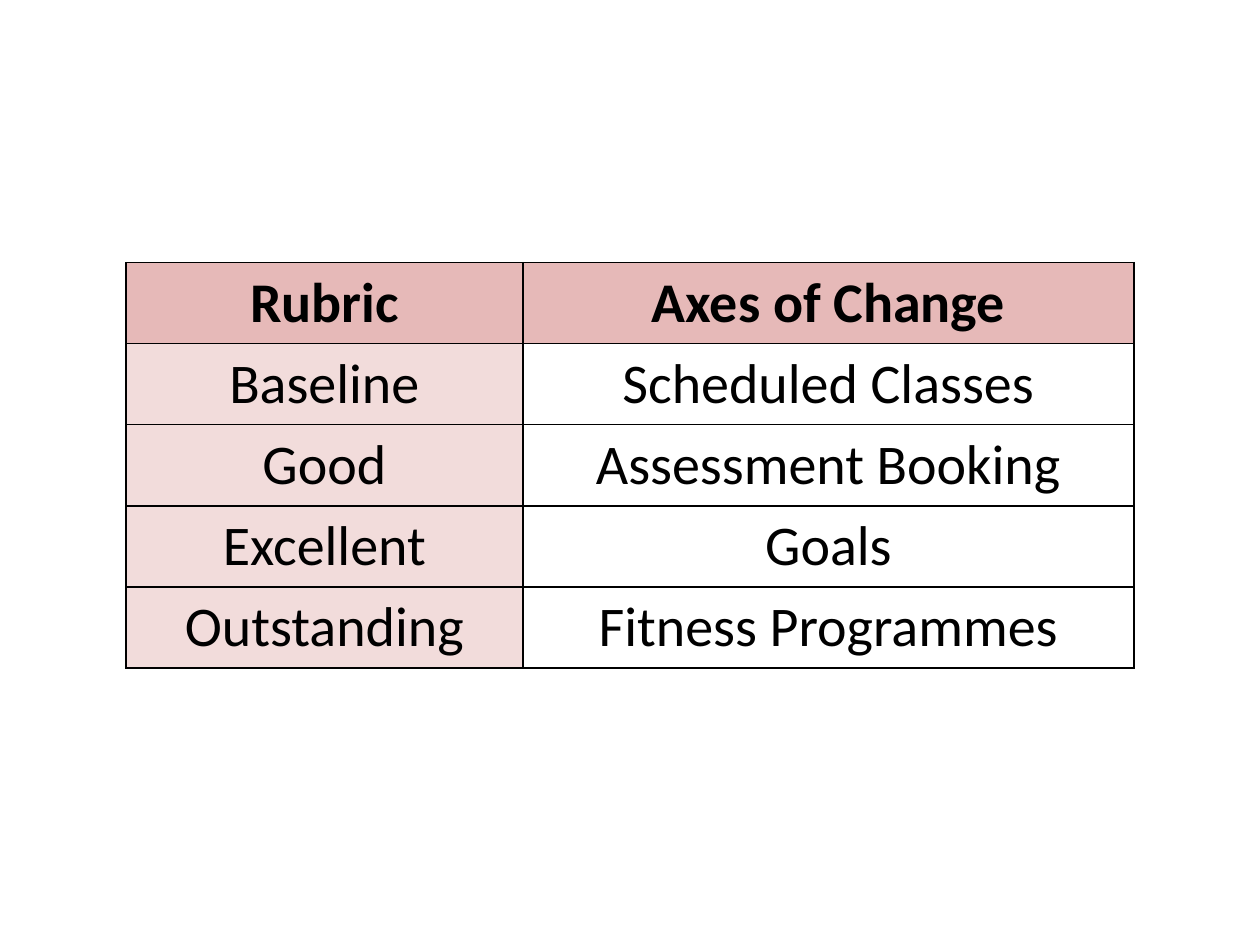
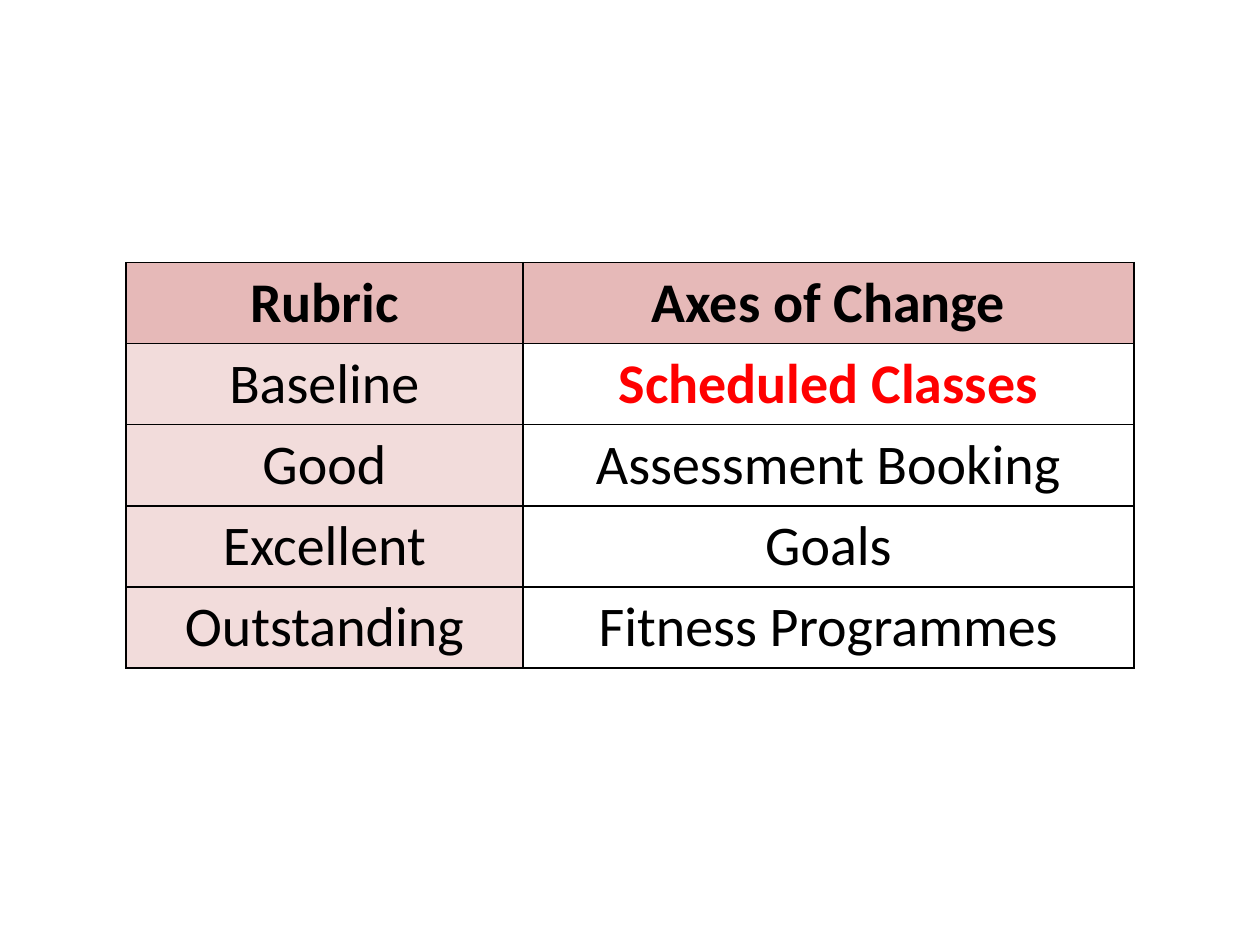
from lxml.etree import SubElement
from pptx import Presentation
from pptx.dml.color import RGBColor
from pptx.enum.text import PP_ALIGN
from pptx.oxml.ns import qn
from pptx.util import Pt

RUBRIC = [
    ("Rubric", "Axes of Change"),
    ("Baseline", "Scheduled Classes"),
    ("Good", "Assessment Booking"),
    ("Excellent", "Goals"),
    ("Outstanding", "Fitness Programmes"),
]


def colour(value):
    """Turn a hex string into a colour."""
    return RGBColor.from_string(value)


class RubricDeck:
    """Holds the shared style and the current slide."""

    font, size = "Calibri", 32
    ink, accent = "000000", "FF0000"
    header_fill, label_fill = "E6B9B8", "F2DCDB"
    border_width = 1
    left, top = 72, 150
    column_widths = (226.8, 349.2)
    row_height = 45.6

    def __init__(self):
        """Start an empty deck of 10 by 7.5 inches."""
        self.deck = Presentation()
        self.deck.slide_width, self.deck.slide_height = Pt(720), Pt(540)
        self.page = None

    def add_page(self):
        """Add a blank slide and make it current."""
        self.page = self.deck.slides.add_slide(self.deck.slide_layouts[6])

    def add_borders(self, cell):
        """Draw a solid line on all four sides of a cell."""
        properties = cell._tc.get_or_add_tcPr()
        for side in ("a:lnL", "a:lnR", "a:lnT", "a:lnB"):
            line = SubElement(properties, qn(side), w=str(Pt(self.border_width)))
            fill = SubElement(line, qn("a:solidFill"))
            SubElement(fill, qn("a:srgbClr"), val=self.ink)

    def style_cell(self, cell, text, fill, bold, ink):
        """Fill, border and write one cell."""
        self.add_borders(cell)
        if fill:
            cell.fill.solid()
            cell.fill.fore_color.rgb = colour(fill)
        else:
            cell.fill.background()
        cell.text_frame.text = text
        para = cell.text_frame.paragraphs[0]
        para.alignment = PP_ALIGN.CENTER
        font = para.runs[0].font
        font.name, font.size, font.bold = self.font, Pt(self.size), bold
        font.color.rgb = colour(ink)

    def add_rubric(self, rows, highlight=None):
        """Add the rubric table, with one axis of change highlighted if named."""
        table = self.page.shapes.add_table(
            len(rows), len(self.column_widths), Pt(self.left), Pt(self.top),
            Pt(sum(self.column_widths)), Pt(self.row_height * len(rows))).table
        for column, width in zip(table.columns, self.column_widths):
            column.width = Pt(width)
        for row_index, row in enumerate(rows):
            table.rows[row_index].height = Pt(self.row_height)
            is_header = row_index == 0
            fills = (self.header_fill,) * 2 if is_header else (self.label_fill, None)
            for column_index, (text, fill) in enumerate(zip(row, fills)):
                marked = text == highlight
                self.style_cell(table.cell(row_index, column_index), text, fill,
                                bold=is_header or marked,
                                ink=self.accent if marked else self.ink)


def main():
    """Build the plain rubric, then the one stressing the first axis."""
    builder = RubricDeck()
    for highlight in (None, "Scheduled Classes"):
        builder.add_page()
        builder.add_rubric(RUBRIC, highlight)
    builder.deck.save("out.pptx")


main()
